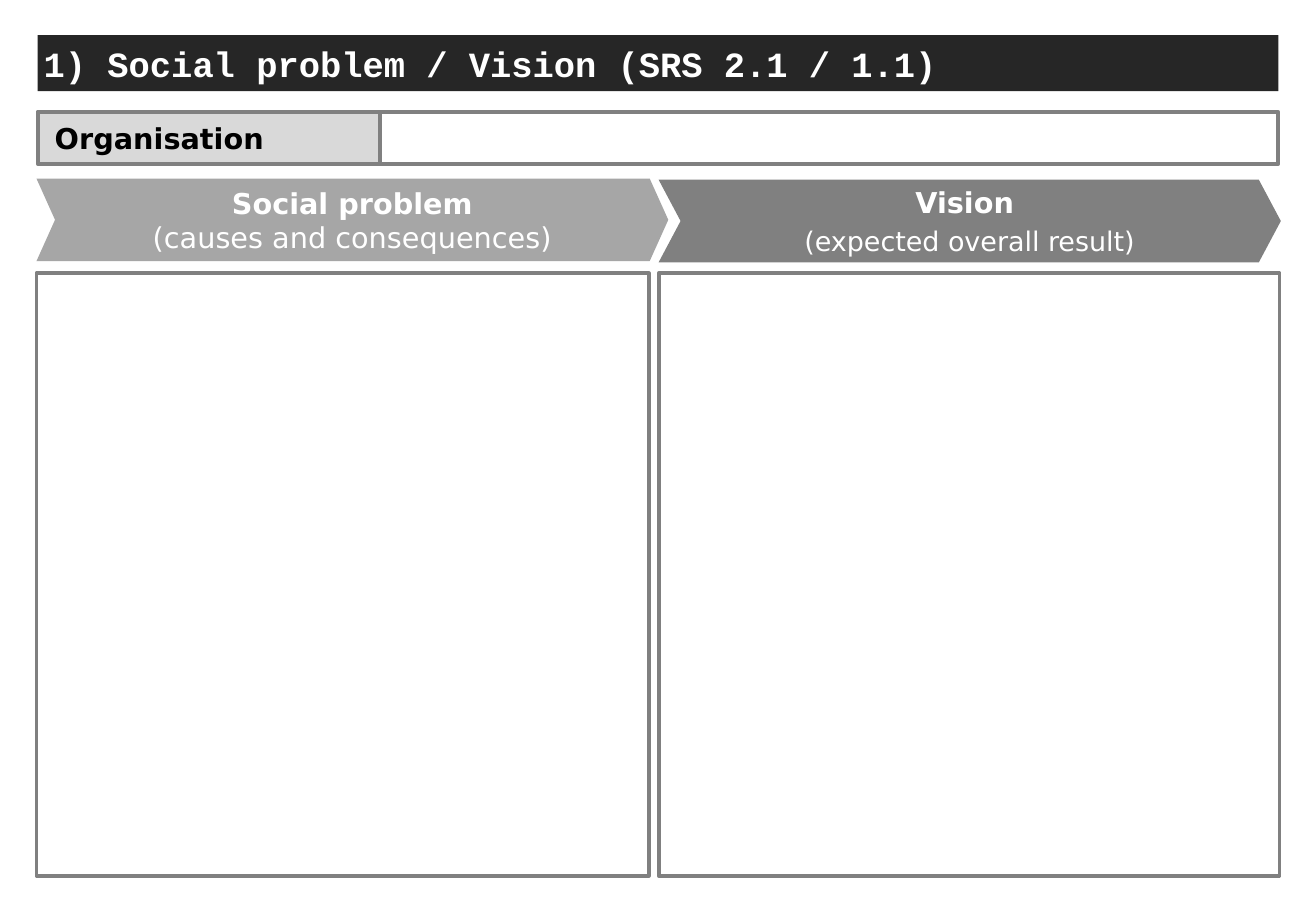
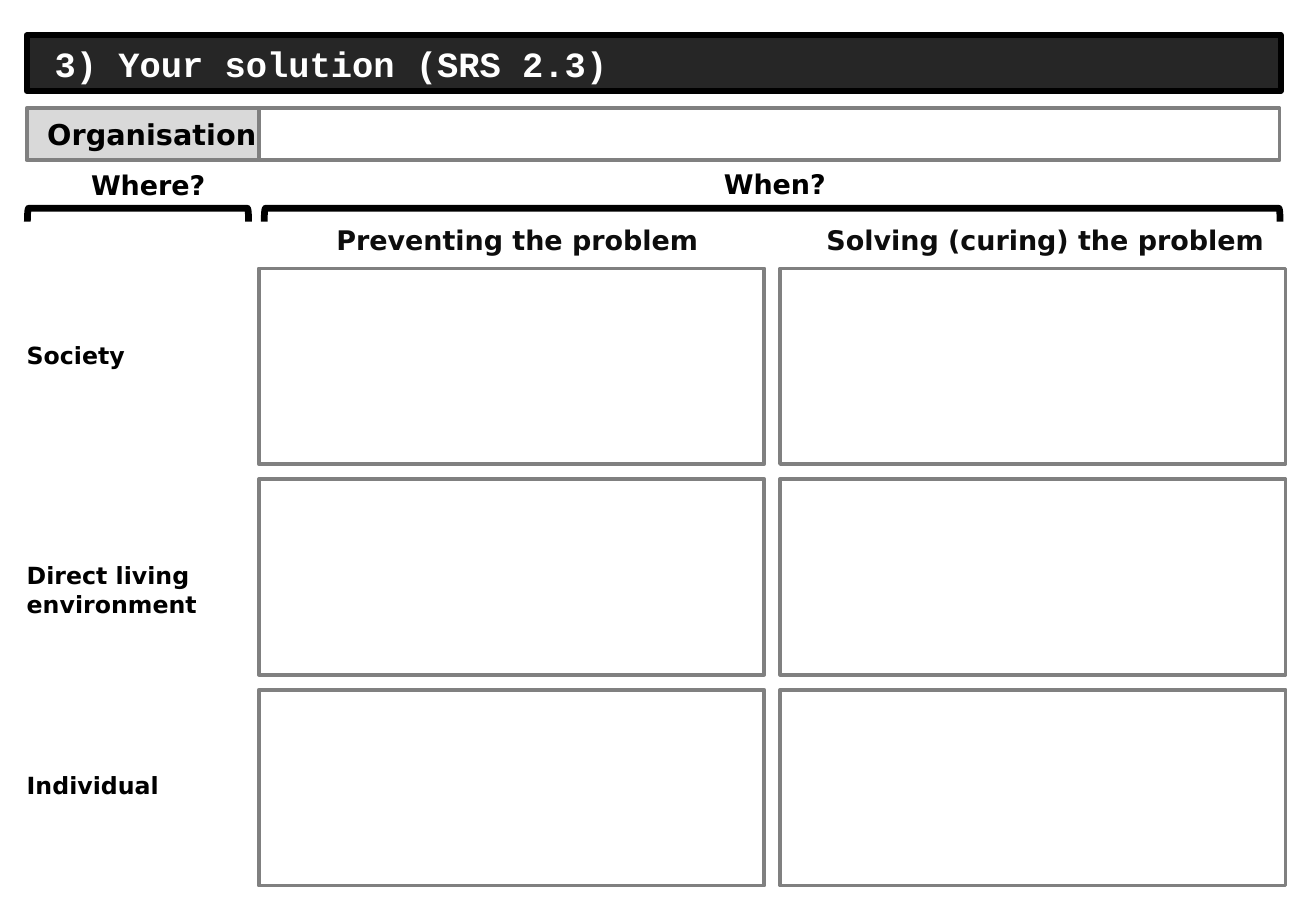
from dataclasses import dataclass

from pptx import Presentation, util as u
from pptx.dml.color import RGBColor
from pptx.enum import shapes, text

KIND = shapes.MSO_SHAPE
LEFT, MID = text.PP_ALIGN.LEFT, text.PP_ALIGN.CENTER


@dataclass(frozen=True)
class Theme:
    sans: str = "DejaVu Sans"
    mono: str = "Courier New"
    white: str = "FFFFFF"
    black: str = "000000"
    ink: str = "0D0D0D"
    band: str = "262626"
    label: str = "D9D9D9"
    light: str = "A6A6A6"
    grey: str = "808080"
    title: int = 21
    large: int = 17
    head: int = 16
    small: int = 14
    rule: float = 2.25
    thick: float = 4


T = Theme()
deck = Presentation()
deck.slide_width, deck.slide_height = u.Inches(10.83), u.Inches(7.5)
COL, ROW = deck.slide_width / 100, deck.slide_height / 100


def draw(page, box, kind=KIND.RECTANGLE, fill=None, line=None, rule=T.rule):
    """Add a shape; box is left, top, width, height in percent of the slide."""
    x, y, w, h = box
    form = page.shapes.add_shape(kind, int(x * COL), int(y * ROW), int(w * COL), int(h * ROW))
    form.shadow.inherit = False
    if fill:
        form.fill.solid()
        form.fill.fore_color.rgb = RGBColor.from_string(fill)
    else:
        form.fill.background()
    if line:
        form.line.color.rgb = RGBColor.from_string(line)
        form.line.width = u.Pt(rule)
    else:
        form.line.fill.background()
    return form


def write(form, paras, tint, align=LEFT, pad=(0, 0, 0, 0), font=T.sans, after=0):
    """Fill a shape with paragraphs of (words, size, bold) runs; pad is in inches."""
    frame = form.text_frame
    frame.word_wrap = True
    frame.vertical_anchor = text.MSO_ANCHOR.MIDDLE
    (frame.margin_left, frame.margin_top,
     frame.margin_right, frame.margin_bottom) = map(u.Inches, pad)
    for i, runs in enumerate(paras):
        para = frame.add_paragraph() if i else frame.paragraphs[0]
        para.alignment = align
        para.space_after = u.Pt(after)
        for words, size, bold in runs:
            if words == "\n":
                para.add_line_break()
                continue
            run = para.add_run()
            run.text = words
            run.font.name, run.font.size, run.font.bold = font, u.Pt(size), bold
            run.font.color.rgb = RGBColor.from_string(tint)


# Title band and organisation strip of each slide
# title, title inset, band left and width, outline, strip top, split, right edge, inset, alignment
tops = [
    ("1) Social problem / Vision (SRS 2.1 / 1.1)", 0.05, 2.86, 94.28, None,
     12.27, 28.9, 97.14, (0.14, 0.05), LEFT),
    ("3) Your solution (SRS 2.3)", 0.23, 2.03, 95.29, T.black,
     11.87, 19.67, 97.23, (0.09, 0), MID),
]
pages = []
for title, inset, left, wide, edge, top, split, right, side, align in tops:
    page = deck.slides.add_slide(deck.slide_layouts[6])
    pages.append(page)
    band = draw(page, (left, 3.87, wide, 6.13), fill=T.band, line=edge, rule=3.5)
    write(band, [[(title, T.title, True)]], T.white, pad=(inset, 0.02, 0.05, 0.02), font=T.mono)
    extra = 0.55 if align == MID else 0
    tag = draw(page, (left, top, split - left + extra, 5.73), fill=T.label, line=T.grey)
    write(tag, [[("Organisation", T.large, True)]], T.black, align, (side[0], 0.02, side[1], 0.02))
    draw(page, (split, top, right - split, 5.73), fill=T.white, line=T.grey)

# Social problem and vision: an arrow above each panel
first, second = pages
parts = [
    (2.77, 46.54, 48.01, 19.6, 0.225, T.light,
     [[("Social problem", T.large, True), ("\n", 0, False),
       ("(causes and consequences)", T.large, False)]]),
    (50.05, 47.18, 47.28, 19.73, 0.266, T.grey,
     [[("Vision ", T.large, True)], [("(expected overall result)", T.head, False)]]),
]
for left, wide, reach, top, point, fill, paras in parts:
    draw(first, (left, 30, wide, 66.13), fill=T.white, line=T.grey)
    arrow = draw(first, (left, top, reach, 9.07), KIND.CHEVRON, fill)
    arrow.adjustments[0] = point
    write(arrow, paras, T.white, MID, (0.02,) * 4, after=2.8)

# Solution grid: where by when
START, STEP = 19.67, 39.61
for row in range(3):
    for col in range(2):
        draw(second, (START + col * STEP, 29.47 + row * 23.13, 38.41, 21.47),
             fill=T.white, line=T.grey)

sides = [
    (["Society"], 32, 13.87),
    (["Direct living", "environment"], 51.07, 27.33),
    (["Individual"], 75.2, 22),
]
for lines, top, high in sides:
    label = draw(second, (2.03, top, 17.91, high))
    write(label, [[(words, T.small, True)] for words in lines], T.black)

heads = [
    ("Where?", (2.86, 17.2, 16.81, 6.13), T.black, 0),
    ("When? ", (21.7, 17.07, 75.07, 6.13), T.black, 0),
    ("Preventing the problem ", (19.58, 22.93, 39.7, 6.67), T.ink, 0.05),
    ("Solving (curing) the problem ", (59.1, 22.93, 40.9, 6.67), T.ink, 0.05),
]
for words, box, tint, inset in heads:
    write(draw(second, box), [[(words, T.head, True)]], tint, MID, (inset, 0, 0, 0))

# Brackets stand upright, then turn a quarter about their centre
thin = 0.11 * u.Inches(1)
for left, wide in ((2.08, 16.81), (20.08, 77.19)):
    mid, tall = left + wide / 2, wide * COL / ROW
    box = (mid - thin / COL / 2, 23.6 - tall / 2, thin / COL, tall)
    brace = draw(second, box, KIND.LEFT_BRACKET, line=T.black, rule=T.thick)
    brace.rotation = 90

deck.save("out.pptx")
